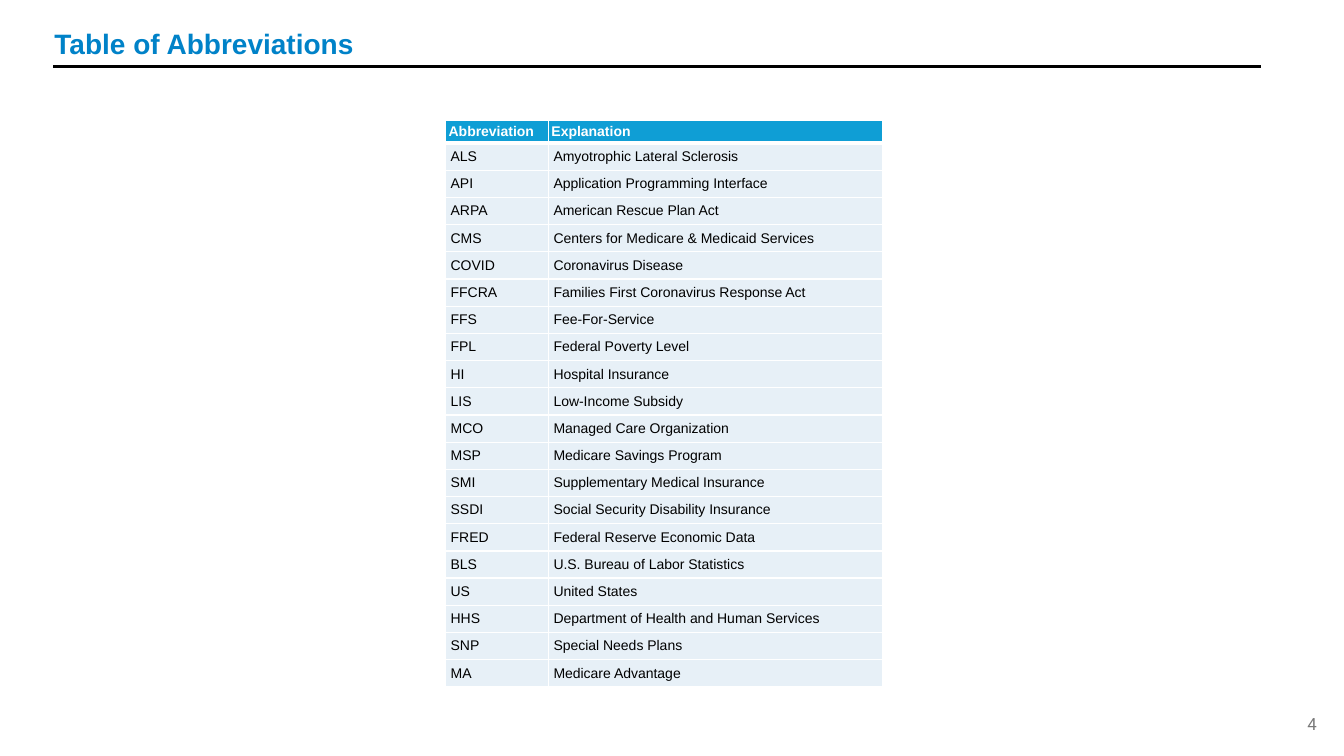
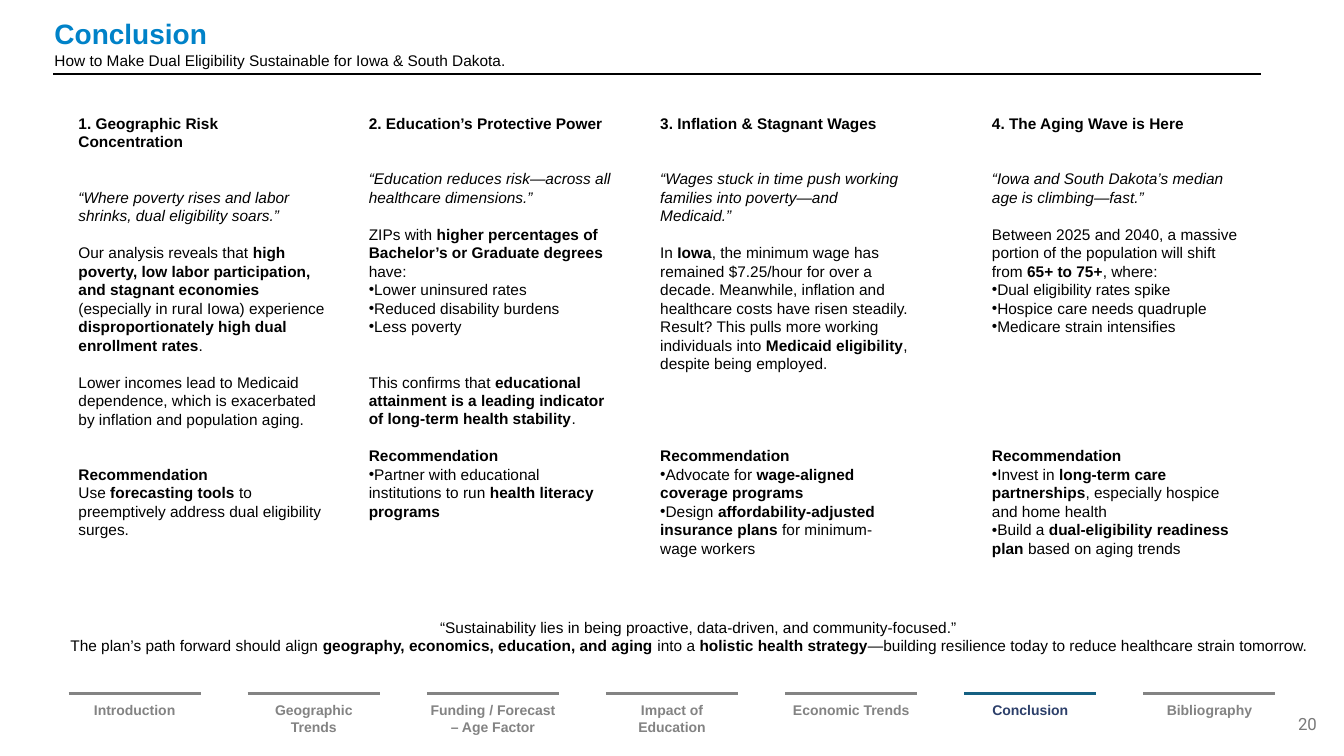
from lxml import etree
from pptx import Presentation
from pptx import util as u
from pptx.dml.color import RGBColor
from pptx.enum import shapes, text
from pptx.oxml.ns import qn

# Shared look
WIDTH, HEIGHT = 13.33, 7.5
FONT, PAGE_FONT = "Arial", "Roboto"
BLUE, BLACK, WHITE, GREY, PAGE_GREY = "0082C8", "000000", "FFFFFF", "838383", "797979"
HEADER_FILL, ROW_FILL = "0F9ED5", "E7F0F7"
ACTIVE_LINE, ACTIVE_TEXT = "156082", "2C3F6A"
LEFT, RIGHT = 0.53, 12.51
LINE_PT = 13.2  # height of one 11 pt line, the unit of vertical gaps

ABBREVIATIONS = [
    ("Abbreviation", "Explanation"),
    ("ALS", "Amyotrophic Lateral Sclerosis"),
    ("API", "Application Programming Interface"),
    ("ARPA", "American Rescue Plan Act"),
    ("CMS", "Centers for Medicare & Medicaid Services"),
    ("COVID", "Coronavirus Disease"),
    ("FFCRA", "Families First Coronavirus Response Act"),
    ("FFS", "Fee-For-Service"),
    ("FPL", "Federal Poverty Level"),
    ("HI", "Hospital Insurance"),
    ("LIS", "Low-Income Subsidy"),
    ("MCO", "Managed Care Organization"),
    ("MSP", "Medicare Savings Program"),
    ("SMI", "Supplementary Medical Insurance"),
    ("SSDI", "Social Security Disability Insurance"),
    ("FRED", "Federal Reserve Economic Data"),
    ("BLS", "U.S. Bureau of Labor Statistics"),
    ("US", "United States"),
    ("HHS", "Department of Health and Human Services"),
    ("SNP", "Special Needs Plans"),
    ("MA", "Medicare Advantage"),
]

# Findings: left edge, then (blank lines before, kind, text); ** marks bold
FINDINGS = [
    (0.68, [
        (0, "", "**1. Geographic Risk Concentration**"),
        (2, "quote", "“Where poverty rises and labor shrinks, dual eligibility soars.”"),
        (1, "", "Our analysis reveals that **high poverty, low labor participation, and stagnant "
                "economies** (especially in rural Iowa) experience **disproportionately high dual "
                "enrollment rates**."),
        (1, "", "Lower incomes lead to Medicaid dependence, which is exacerbated by inflation "
                "and population aging."),
        (2, "", "**Recommendation**"),
        (0, "", "Use **forecasting tools** to preemptively address dual eligibility surges."),
    ]),
    (3.56, [
        (0, "", "**2. Education’s Protective Power**"),
        (2, "quote", "“Education reduces risk—across all healthcare dimensions.”"),
        (1, "", "ZIPs with **higher percentages of Bachelor’s or Graduate degrees** have:"),
        (0, "bullet", "Lower uninsured rates"),
        (0, "bullet", "Reduced disability burdens"),
        (0, "bullet", "Less poverty"),
        (2, "", "This confirms that **educational attainment is a leading indicator of "
                "long-term health stability**."),
        (1, "", "**Recommendation**"),
        (0, "bullet", "Partner with educational institutions to run **health literacy programs**"),
    ]),
    (6.45, [
        (0, "", "**3. Inflation & Stagnant Wages**"),
        (2, "quote", "“Wages stuck in time push working families into poverty—and Medicaid.”"),
        (1, "", "In **Iowa**, the minimum wage has remained $7.25/hour for over a decade. "
                "Meanwhile, inflation and healthcare costs have risen steadily."),
        (0, "", "Result? This pulls more working individuals into **Medicaid eligibility**, "
                "despite being employed."),
        (4, "", "**Recommendation**"),
        (0, "bullet", "Advocate for **wage-aligned coverage programs**"),
        (0, "bullet", "Design **affordability-adjusted insurance plans** for minimum-wage workers"),
    ]),
    (9.74, [
        (0, "", "**4. The Aging Wave is Here**"),
        (2, "quote", "“Iowa and South Dakota’s median age is climbing—fast.”"),
        (1, "", "Between 2025 and 2040, a massive portion of the population will shift from "
                "**65+ to 75+**, where:"),
        (0, "bullet", "Dual eligibility rates spike"),
        (0, "bullet", "Hospice care needs quadruple"),
        (0, "bullet", "Medicare strain intensifies"),
        (6, "", "**Recommendation**"),
        (0, "bullet", "Invest in **long-term care partnerships**, especially hospice and home health"),
        (0, "bullet", "Build a **dual-eligibility readiness plan** based on aging trends"),
    ]),
]

CLOSING = [
    (0, "center", "“Sustainability lies in being proactive, data-driven, and community-focused.”"),
    (0, "", "The plan’s path forward should align **geography, economics, education, and aging** "
            "into a **holistic health strategy**—building resilience today to reduce healthcare "
            "strain tomorrow."),
]

SECTIONS = ["Introduction", "Geographic Trends", "Funding / Forecast – Age Factor",
            "Impact of Education", "Economic Trends", "Conclusion", "Bibliography"]


def color(value):
    return RGBColor.from_string(value)


def style(font, size, fill=BLACK, bold=False, name=FONT):
    font.name, font.size, font.bold = name, u.Pt(size), bold
    font.color.rgb = color(fill)


def add_box(s, x, y, w, h, margin=(0.1, 0.05)):
    tf = s.shapes.add_textbox(*map(u.Inches, (x, y, w, h))).text_frame
    tf.word_wrap = True
    tf.margin_left = tf.margin_right = u.Inches(margin[0])
    tf.margin_top = tf.margin_bottom = u.Inches(margin[1])
    return tf


def add_line(s, x1, x2, y, fill, width):
    line = s.shapes.add_connector(shapes.MSO_CONNECTOR.STRAIGHT,
                                  *map(u.Inches, (x1, y, x2, y)))
    line.line.color.rgb = color(fill)
    line.line.width = u.Pt(width)
    etree.SubElement(line._element.spPr, qn("a:effectLst"))


def add_header(s, title, top, rule_y, subtitle=None):
    tf = add_box(s, LEFT + 0.01, top, 10.77, rule_y - top, (0, 0))
    tf.text = title
    style(tf.paragraphs[0].runs[0].font, 20, BLUE, True)
    if subtitle:
        p = tf.add_paragraph()
        p.text = subtitle
        p.space_before = u.Pt(1.2)
        style(p.runs[0].font, 11)
    add_line(s, LEFT, RIGHT, rule_y, BLACK, 1.5)


def add_page_number(s, number):
    tf = add_box(s, 10.16, 6.98, 3, 0.4)
    tf.vertical_anchor = text.MSO_ANCHOR.MIDDLE
    tf.text = str(number)
    p = tf.paragraphs[0]
    p.alignment = text.PP_ALIGN.RIGHT
    style(p.runs[0].font, 12, PAGE_GREY, name=PAGE_FONT)


def write_paragraphs(tf, items):
    for i, (gap, kind, content) in enumerate(items):
        p = tf.add_paragraph() if i else tf.paragraphs[0]
        if gap:
            p.space_before = u.Pt(gap * LINE_PT)
        if kind == "center":
            p.alignment = text.PP_ALIGN.CENTER
        if kind == "bullet":
            pPr = p._p.get_or_add_pPr()
            pPr.set("marL", "0")
            pPr.set("indent", "0")
            etree.SubElement(pPr, qn("a:buFont"), typeface=FONT)
            etree.SubElement(pPr, qn("a:buChar"), char="•")
        for j, part in enumerate(content.split("**")):
            if part:
                r = p.add_run()
                r.text = part
                style(r.font, 11, bold=j % 2 == 1)
                r.font.italic = kind == "quote"


def set_borders(cell, bottom):
    tcPr = cell._tc.get_or_add_tcPr()
    for side, width in (("L", 1), ("R", 1), ("T", 1), ("B", bottom)):
        ln = etree.SubElement(tcPr, qn("a:ln" + side), w=str(u.Pt(width)))
        fill = etree.SubElement(ln, qn("a:solidFill"))
        etree.SubElement(fill, qn("a:srgbClr"), val=WHITE)


def add_abbreviations(s):
    widths, head_h, row_h = (1.02, 3.31), 0.23, 0.27
    height = head_h + row_h * (len(ABBREVIATIONS) - 1)
    table = s.shapes.add_table(len(ABBREVIATIONS), 2, *map(
        u.Inches, (4.42, 1.19, sum(widths), height))).table
    for column, width in zip(table.columns, widths):
        column.width = u.Inches(width)
    for i, row in enumerate(ABBREVIATIONS):
        head = i == 0
        table.rows[i].height = u.Inches(head_h if head else row_h)
        for j, content in enumerate(row):
            cell = table.cell(i, j)
            margin = u.Inches(0.03 if head else 0.05)
            cell.margin_left = cell.margin_right = margin
            cell.margin_top = cell.margin_bottom = margin
            cell.vertical_anchor = text.MSO_ANCHOR.MIDDLE
            set_borders(cell, 3 if head else 1)
            cell.fill.solid()
            cell.fill.fore_color.rgb = color(HEADER_FILL if head else ROW_FILL)
            cell.text = content
            style(cell.text_frame.paragraphs[0].runs[0].font, 10,
                  WHITE if head else BLACK, head)


def add_section_bar(s, active):
    first, last, width = 0.68, 11.34, 1.31
    pitch = (last - first) / (len(SECTIONS) - 1)
    for i, name in enumerate(SECTIONS):
        x = first + i * pitch
        on = name == active
        add_line(s, x, x + width, 6.88, ACTIVE_LINE if on else GREY, 2)
        tf = add_box(s, x, 6.95, width, 0.35, (0.03, 0.01))
        tf.text = name
        p = tf.paragraphs[0]
        p.alignment = text.PP_ALIGN.CENTER
        style(p.runs[0].font, 10, ACTIVE_TEXT if on else GREY, True)


def main():
    prs = Presentation()
    prs.slide_width, prs.slide_height = u.Inches(WIDTH), u.Inches(HEIGHT)
    blank = prs.slide_layouts[6]

    # Abbreviations
    s = prs.slides.add_slide(blank)
    add_header(s, "Table of Abbreviations", 0.26, 0.66)
    add_abbreviations(s)
    add_page_number(s, 4)

    # Conclusion
    s = prs.slides.add_slide(blank)
    add_header(s, "Conclusion", 0.16, 0.73,
               "How to Make Dual Eligibility Sustainable for Iowa & South Dakota.")
    for x, items in FINDINGS:
        write_paragraphs(add_box(s, x, 1.08, 2.66, 4.54), items)
    write_paragraphs(add_box(s, 0.6, 6.08, 12.66, 0.66), CLOSING)
    add_section_bar(s, "Conclusion")
    add_page_number(s, 20)

    prs.save("out.pptx")


if __name__ == "__main__":
    main()
